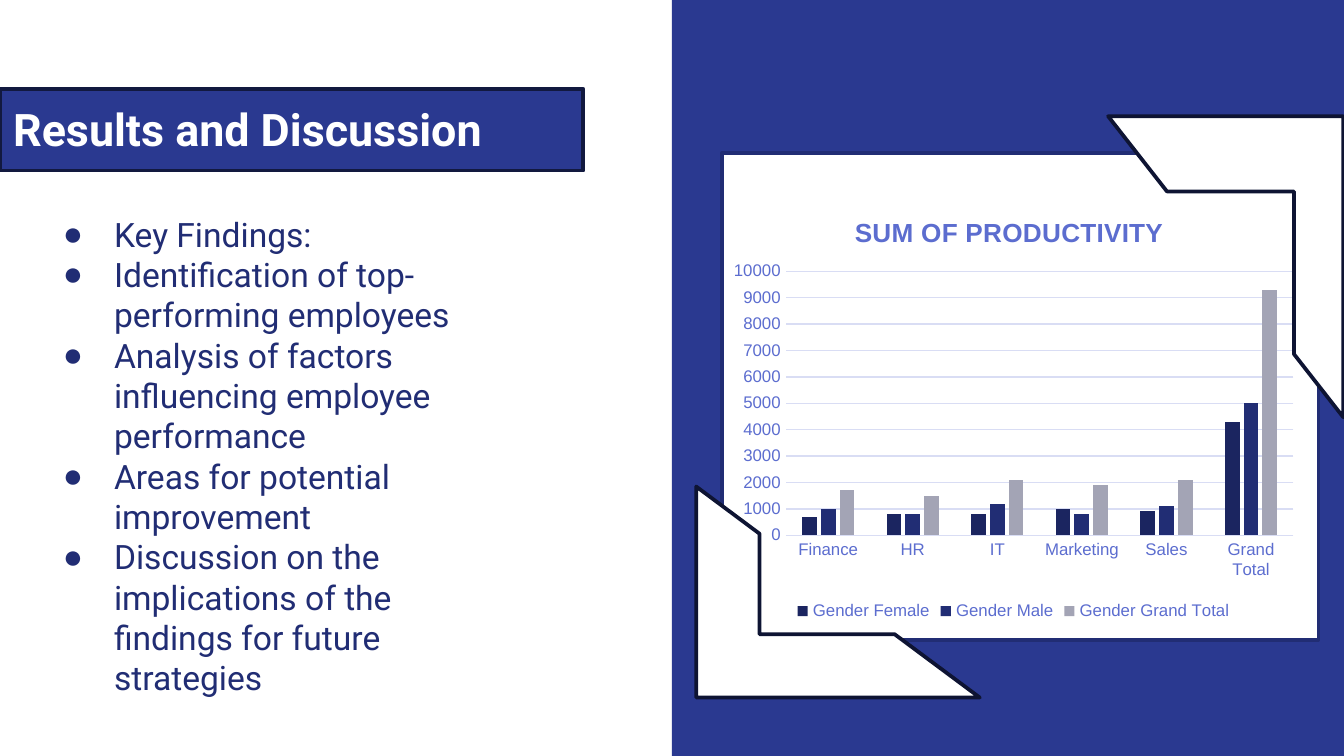
from dataclasses import dataclass

import lxml.etree
import pptx
import pptx.chart.data
import pptx.dml.color
import pptx.enum.chart
import pptx.enum.shapes
import pptx.enum.text
import pptx.oxml.ns
import pptx.util
from pptx.util import Inches


def rgb(code):
    return pptx.dml.color.RGBColor.from_string(code)


@dataclass(frozen=True)
class Theme:
    panel = rgb("2A3990")
    navy = rgb("212D74")
    banner_edge = rgb("12193F")
    corner_edge = rgb("0E1433")
    white = rgb("FFFFFF")
    label = rgb("5C6DCF")
    grid = rgb("D9DDF4")
    female = rgb("1B2560")
    total = rgb("A3A4B5")
    text_font = "Roboto"
    chart_font = "Arial"
    bullet_font = "Arial"
    heading = 24
    body = 18
    chart_title = 14
    chart_label = 9


THEME = Theme()
SHAPES = pptx.enum.shapes.MSO_SHAPE
SLIDE_WIDTH = 10
SLIDE_HEIGHT = SLIDE_WIDTH * 9 / 16

FINDINGS = [
    "Key Findings:",
    "Identification of top-performing employees",
    "Analysis of factors influencing employee performance",
    "Areas for potential improvement",
    "Discussion on the implications of the findings for future strategies",
]
DEPARTMENTS = ["Finance", "HR", "IT", "Marketing", "Sales", "Grand Total"]
PRODUCTIVITY = [
    ("Gender Female", [700, 800, 800, 1000, 900, 4300], THEME.female),
    ("Gender Male", [1000, 800, 1200, 800, 1100, 5000], THEME.navy),
    ("Gender Grand Total", [1700, 1500, 2100, 1900, 2100, 9300], THEME.total),
]


def style_font(font, name, size, color, bold=False):
    font.name = name
    font.size = pptx.util.Pt(size)
    font.color.rgb = color
    font.bold = bold


def add_block(slide, kind, box, fill, edge=None):
    block = slide.shapes.add_shape(kind, *map(Inches, box))
    block.shadow.inherit = False
    block.fill.solid()
    block.fill.fore_color.rgb = fill
    if edge is None:
        block.line.fill.background()
    else:
        block.line.color.rgb = edge
        block.line.width = pptx.util.Pt(2)
    return block


def prepare_frame(frame, anchor):
    frame.word_wrap = True
    frame.vertical_anchor = anchor
    frame.margin_left = frame.margin_right = Inches(0.1)
    frame.margin_top = frame.margin_bottom = Inches(0.1)


def add_banner(slide, box, heading):
    banner = add_block(slide, SHAPES.RECTANGLE, box, THEME.panel, THEME.banner_edge)
    prepare_frame(banner.text_frame, pptx.enum.text.MSO_ANCHOR.TOP)
    banner.text_frame.text = heading
    line = banner.text_frame.paragraphs[0]
    line.alignment = pptx.enum.text.PP_ALIGN.LEFT
    style_font(line.runs[0].font, THEME.text_font, THEME.heading, THEME.white, True)


def add_bullet(paragraph):
    """Give the paragraph a round bullet and a hanging indent."""
    properties = paragraph._p.get_or_add_pPr()
    properties.set("marL", str(Inches(0.5)))
    properties.set("indent", str(Inches(-0.38)))
    qn = pptx.oxml.ns.qn
    color = lxml.etree.SubElement(properties, qn("a:buClr"))
    lxml.etree.SubElement(color, qn("a:srgbClr"), val=str(THEME.navy))
    lxml.etree.SubElement(properties, qn("a:buFont"), typeface=THEME.bullet_font)
    lxml.etree.SubElement(properties, qn("a:buChar"), char="●")


def add_findings(slide, box, findings):
    frame = slide.shapes.add_textbox(*map(Inches, box)).text_frame
    prepare_frame(frame, pptx.enum.text.MSO_ANCHOR.TOP)
    frame.text = "\n".join(findings)
    for paragraph in frame.paragraphs:
        add_bullet(paragraph)
        style_font(paragraph.runs[0].font, THEME.text_font, THEME.body, THEME.navy)


def set_layout(element, index, **fractions):
    """Fix a chart part at fractions of the chart's size."""
    qn = pptx.oxml.ns.qn
    for automatic in element.findall(qn("c:layout")):
        element.remove(automatic)
    layout = lxml.etree.Element(qn("c:layout"))
    manual = lxml.etree.SubElement(layout, qn("c:manualLayout"))
    if "w" in fractions:
        lxml.etree.SubElement(manual, qn("c:layoutTarget"), val="inner")
    for mode in ("xMode", "yMode"):
        lxml.etree.SubElement(manual, qn(f"c:{mode}"), val="edge")
    for side, value in fractions.items():
        lxml.etree.SubElement(manual, qn(f"c:{side}"), val=str(value))
    element.insert(index, layout)


def style_axes(chart):
    values, categories = chart.value_axis, chart.category_axis
    for axis in (values, categories):
        axis.major_tick_mark = pptx.enum.chart.XL_TICK_MARK.NONE
        axis.minor_tick_mark = pptx.enum.chart.XL_TICK_MARK.NONE
        style_font(axis.tick_labels.font, THEME.chart_font, THEME.chart_label, THEME.label)
    values.minimum_scale, values.maximum_scale, values.major_unit = 0, 10000, 1000
    values.format.line.fill.background()
    for line in (categories.format.line, values.major_gridlines.format.line):
        line.color.rgb = THEME.grid
        line.width = pptx.util.Pt(0.75)


def add_productivity_chart(slide, box):
    data = pptx.chart.data.CategoryChartData()
    data.categories = DEPARTMENTS
    for name, values, _ in PRODUCTIVITY:
        data.add_series(name, values)
    kind = pptx.enum.chart.XL_CHART_TYPE.COLUMN_CLUSTERED
    chart = slide.shapes.add_chart(kind, *map(Inches, box), data).chart
    style_font(chart.font, THEME.chart_font, 10, THEME.panel)

    chart.has_title = True
    title = chart.chart_title
    title.include_in_layout = False
    title.text_frame.text = "SUM OF PRODUCTIVITY"
    title_run = title.text_frame.paragraphs[0].runs[0]
    style_font(title_run.font, THEME.chart_font, THEME.chart_title, THEME.label, True)
    set_layout(title._element, 1, x=0.22, y=0.04)

    chart.has_legend = True
    chart.legend.position = pptx.enum.chart.XL_LEGEND_POSITION.BOTTOM
    chart.legend.include_in_layout = False
    style_font(chart.legend.font, THEME.chart_font, THEME.chart_label, THEME.label)

    plot = chart.plots[0]
    plot.gap_width, plot.overlap, plot.vary_by_categories = 219, -27, False
    for series, (_, _, color) in zip(plot.series, PRODUCTIVITY):
        series.format.fill.solid()
        series.format.fill.fore_color.rgb = color
    style_axes(chart)
    set_layout(chart._chartSpace.chart.plotArea, 0, x=0.11, y=0.18, w=0.87, h=0.61)


def add_corner(slide, box, rotation, proportions):
    corner = add_block(slide, SHAPES.HALF_FRAME, box, THEME.white, THEME.corner_edge)
    corner.rotation = rotation
    for index, proportion in enumerate(proportions):
        corner.adjustments[index] = proportion


def add_chart_panel(slide, box):
    left, top, width, height = box
    add_block(slide, SHAPES.RECTANGLE, box, THEME.white, THEME.navy)
    add_productivity_chart(slide, (left, top + 0.3, width - 0.1, height - 0.4))
    add_corner(slide, (left + 2.63, top - 0.03, 2.24, 1.75), 90, (0.21, 0.32))
    add_corner(slide, (left + 0.08, top + 2.21, 1.57, 2.11), 270, (0.3, 0.3))


def main():
    deck = pptx.Presentation()
    deck.slide_width, deck.slide_height = Inches(SLIDE_WIDTH), Inches(SLIDE_HEIGHT)
    slide = deck.slides.add_slide(deck.slide_layouts[6])
    half = SLIDE_WIDTH / 2
    add_block(slide, SHAPES.RECTANGLE, (half, 0, half, SLIDE_HEIGHT), THEME.panel)
    add_findings(slide, (0.25, 1.49, 3.51, 3.86), FINDINGS)
    add_banner(slide, (0, 0.66, 4.34, 0.61), "Results and Discussion")
    add_chart_panel(slide, (5.37, 1.14, 4.44, 3.62))
    deck.save("out.pptx")


if __name__ == "__main__":
    main()
